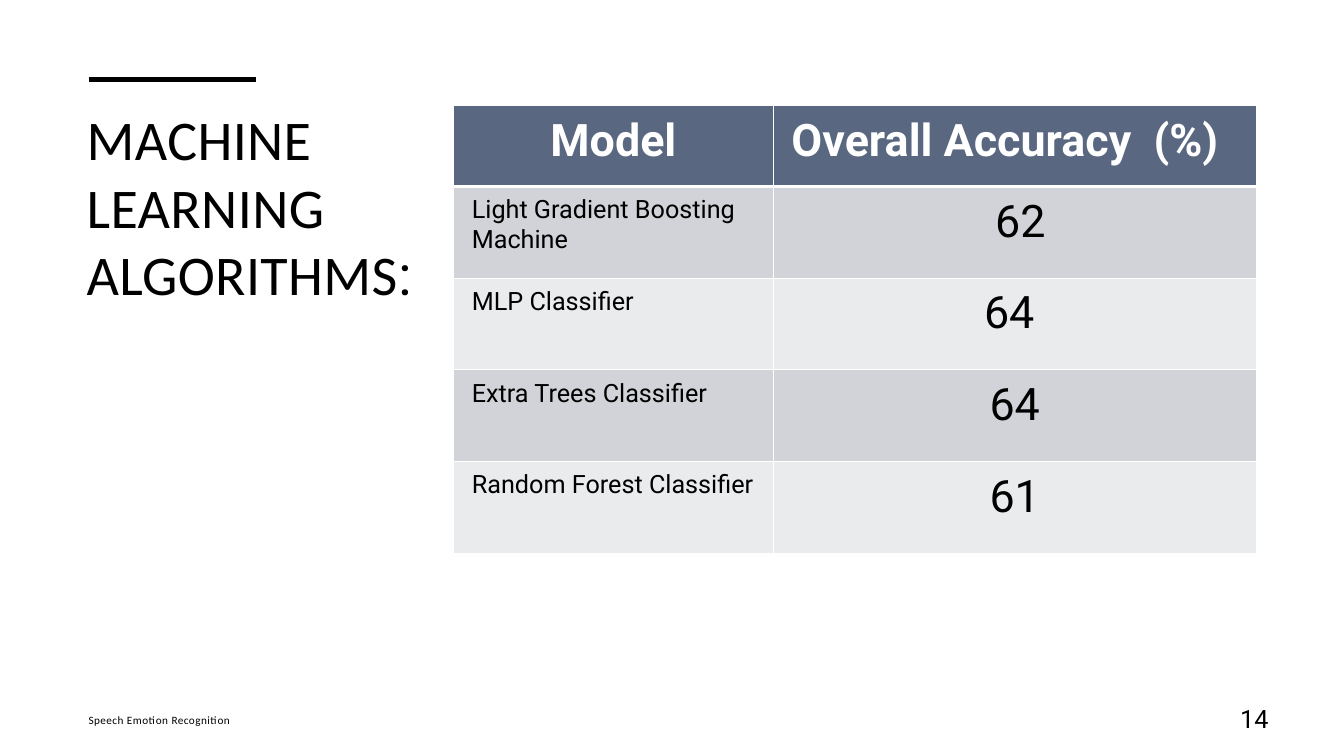
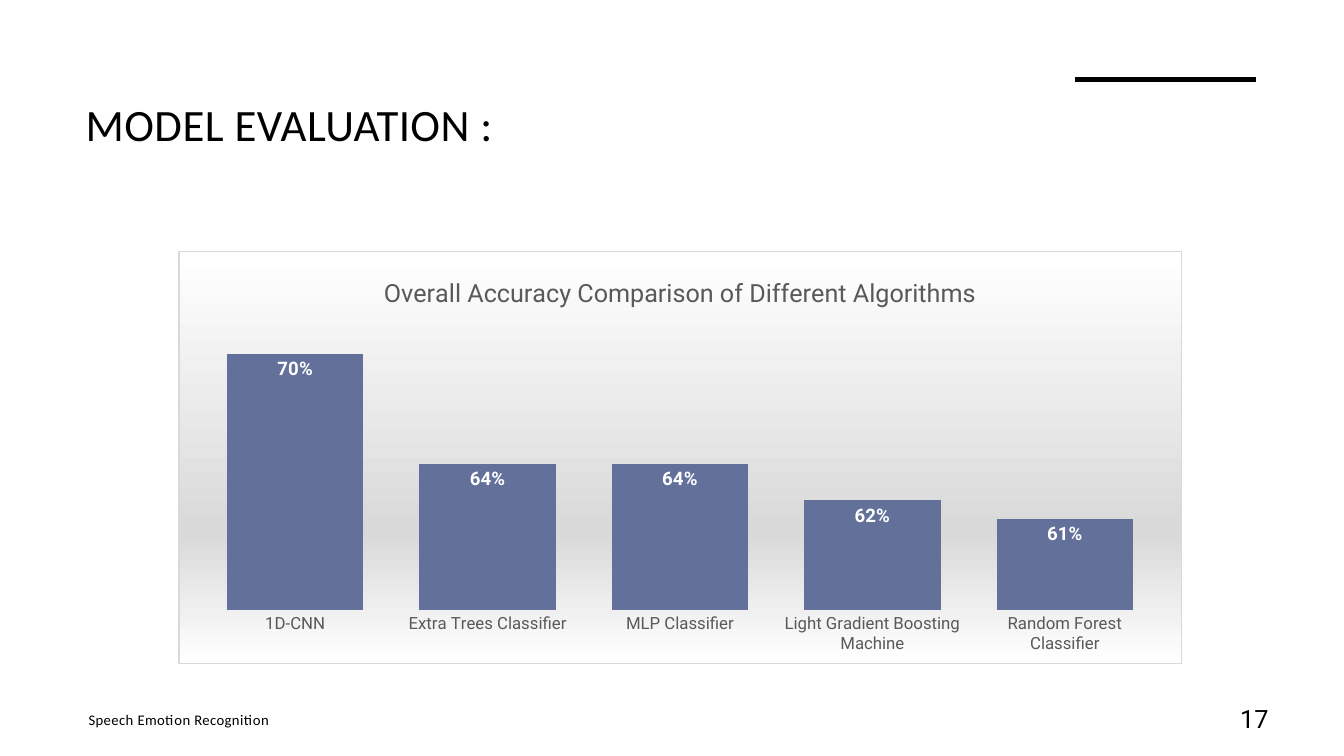
from lxml.etree import SubElement
from pptx import Presentation
from pptx.chart.data import CategoryChartData
from pptx.dml.color import RGBColor
from pptx.enum.chart import XL_CHART_TYPE, XL_LABEL_POSITION, XL_TICK_MARK
from pptx.enum.shapes import MSO_CONNECTOR
from pptx.enum.text import MSO_ANCHOR, MSO_AUTO_SIZE, PP_ALIGN
from pptx.oxml import parse_xml
from pptx.oxml.ns import nsdecls, qn
from pptx.util import Pt

PX = 9144  # EMU in one px, 100 px to the inch
COLORS = {
    "ink": "000000", "white": "FFFFFF", "header": "596781",
    "band_dark": "D1D3D8", "band_light": "EAEBED",
    "bar": "62709A", "chart_text": "595959", "chart_grey": "D9D9D9",
}
BODY, HEAD, CONDENSED = "Roboto", "Calibri", "Roboto Condensed"
FOOTER = "Speech Emotion Recognition"
RULE_Y = 79

MODELS = [
    ("Light Gradient Boosting Machine", " 62"),
    ("MLP Classifier", "64 "),
    ("Extra Trees Classifier", "64"),
    ("Random Forest Classifier", "61"),
]
ACCURACY = {
    "1D-CNN": 0.7,
    "Extra Trees Classifier": 0.64,
    "MLP Classifier": 0.64,
    "Light Gradient Boosting Machine": 0.62,
    "Random Forest Classifier": 0.61,
}


def px(*lengths):
    return [n * PX for n in lengths]


def rgb(name):
    return RGBColor.from_string(COLORS[name])


def style_font(font, size, color="ink", name=BODY, bold=False):
    font.size, font.name, font.bold = Pt(size), name, bold
    font.color.rgb = rgb(color)


def add_run(p, text, size, color="ink", name=BODY, bold=False, spacing=None):
    """Spacing between letters is in hundredths of a point."""
    r = p.add_run()
    r.text = text
    style_font(r.font, size, color, name, bold)
    if spacing:
        r.font._element.set("spc", str(spacing))


def add_title(s, box, parts, size):
    """Fill the title placeholder with (text, font name) parts."""
    sp = s.shapes.title
    sp.left, sp.top, sp.width, sp.height = px(*box)
    tf = sp.text_frame
    tf.word_wrap, tf.auto_size = True, MSO_AUTO_SIZE.NONE
    tf.vertical_anchor = MSO_ANCHOR.TOP
    p = tf.paragraphs[0]
    p.alignment = PP_ALIGN.LEFT
    for text, name in parts:
        add_run(p, text, size, name=name, spacing=30)


def add_rule(s, left, right):
    line = s.shapes.add_connector(MSO_CONNECTOR.STRAIGHT, *px(left, RULE_Y, right, RULE_Y))
    line.line.color.rgb = rgb("ink")
    line.line.width = Pt(3.5)
    SubElement(line._element.spPr, qn("a:effectLst"))


def add_footer_text(s, box, text, size, name, align, spacing=None):
    tf = s.shapes.add_textbox(*px(*box)).text_frame
    tf.word_wrap = True
    tf.vertical_anchor = MSO_ANCHOR.MIDDLE
    p = tf.paragraphs[0]
    p.alignment, p.line_spacing, p.space_after = align, 0.9, Pt(6)
    add_run(p, text, size, name=name, spacing=spacing)


def add_footer(s, number, size):
    add_footer_text(s, (78, 695, 496, 40), FOOTER, size, HEAD, PP_ALIGN.LEFT, 30)
    add_footer_text(s, (1194, 695, 74, 40), number, 18, BODY, PP_ALIGN.RIGHT)


def set_borders(cell, header):
    """White lines round a cell, the heavy one under the header."""
    tc_pr = cell._tc.get_or_add_tcPr()
    for i, side in enumerate("LRTB"):
        width = 3 if header and side == "B" else 1
        tc_pr.insert(i, parse_xml(
            f'<a:ln{side} {nsdecls("a")} w="{Pt(width)}"><a:solidFill>'
            f'<a:srgbClr val="{COLORS["white"]}"/></a:solidFill></a:ln{side}>'))


def fill_cell(cell, text, fill, size, align, header=False):
    cell.fill.solid()
    cell.fill.fore_color.rgb = rgb(fill)
    cell.margin_left, cell.margin_right = px(18, 18)
    cell.margin_top, cell.margin_bottom = px(9, 9)
    p = cell.text_frame.paragraphs[0]
    p.alignment = align
    add_run(p, text, size, "white" if header else "ink", bold=header)
    set_borders(cell, header)


def add_accuracy_table(s, box):
    left, top, width, height = box
    table = s.shapes.add_table(len(MODELS) + 1, 2, *px(*box)).table
    model_w, header_h = 317, 80
    table.columns[0].width, table.columns[1].width = px(model_w, width - model_w)
    table.rows[0].height = header_h * PX
    fill_cell(table.cell(0, 0), "Model", "header", 32, PP_ALIGN.CENTER, True)
    fill_cell(table.cell(0, 1), "Overall Accuracy  (%)", "header", 32, PP_ALIGN.LEFT, True)
    for i, (model, score) in enumerate(MODELS, 1):
        table.rows[i].height = (height - header_h) * PX // len(MODELS)
        fill = "band_dark" if i % 2 else "band_light"
        fill_cell(table.cell(i, 0), model, fill, 18, PP_ALIGN.LEFT)
        fill_cell(table.cell(i, 1), score, fill, 32, PP_ALIGN.CENTER)


def set_layout(parent, index, target="", **shares):
    """Place a chart part by shares of the chart's size."""
    for old in parent.findall(qn("c:layout")):
        parent.remove(old)
    inner = f'<c:layoutTarget val="{target}"/>' if target else ""
    modes = "".join(f'<c:{k}Mode val="edge"/>' for k in "xy")
    sizes = "".join(f'<c:{k} val="{v}"/>' for k, v in shares.items())
    parent.insert(index, parse_xml(
        f'<c:layout {nsdecls("c")}><c:manualLayout>{inner}{modes}{sizes}'
        '</c:manualLayout></c:layout>'))


def set_chart_background(chart):
    stops = "".join(
        f'<a:gs pos="{pos * 1000}"><a:srgbClr val="{COLORS[color]}"/></a:gs>'
        for pos, color in ((0, "white"), (68, "chart_grey"), (100, "white")))
    chart.element.find(qn("c:chart")).addnext(parse_xml(
        f'<c:spPr {nsdecls("c", "a")}><a:gradFill><a:gsLst>{stops}</a:gsLst>'
        f'<a:lin ang="5400000" scaled="0"/></a:gradFill><a:ln w="{Pt(0.75)}">'
        f'<a:solidFill><a:srgbClr val="{COLORS["chart_grey"]}"/></a:solidFill>'
        '</a:ln></c:spPr>'))


def add_accuracy_chart(s, box):
    data = CategoryChartData(number_format="0%")
    data.categories = list(ACCURACY)
    data.add_series("Series 1", list(ACCURACY.values()))
    chart = s.shapes.add_chart(XL_CHART_TYPE.COLUMN_CLUSTERED, *px(*box), data).chart
    style_font(chart.font, 10)
    chart.has_legend = False
    set_chart_background(chart)

    chart.has_title = True
    title = chart.chart_title
    add_run(title.text_frame.paragraphs[0],
            "Overall Accuracy Comparison of Different Algorithms", 18, "chart_text")
    title.include_in_layout = False
    set_layout(title._element, 1, x=0.2, y=0.05)

    cats, vals = chart.category_axis, chart.value_axis
    cats.major_tick_mark = cats.minor_tick_mark = XL_TICK_MARK.NONE
    cats.format.line.fill.background()
    style_font(cats.tick_labels.font, 12, "chart_text")
    vals.visible = vals.has_major_gridlines = False
    vals.minimum_scale, vals.maximum_scale = 0.56, 0.72

    plot = chart.plots[0]
    plot.gap_width = 41
    plot.vary_by_categories = False
    bars = plot.series[0].format.fill
    bars.solid()
    bars.fore_color.rgb = rgb("bar")
    plot.has_data_labels = True
    labels = plot.data_labels
    labels.show_value = True
    labels.number_format, labels.number_format_is_linked = "0%", False
    labels.position = XL_LABEL_POSITION.INSIDE_END
    style_font(labels.font, 13.3, "white", bold=True)
    area = chart.element.find(qn("c:chart")).find(qn("c:plotArea"))
    set_layout(area, 0, "inner", x=0.02, y=0.16, w=0.96, h=0.71)


def add_slide(prs):
    return prs.slides.add_slide(prs.slide_layouts[5])


def add_algorithms_slide(prs):
    s = add_slide(prs)
    add_title(s, (76, 99, 428, 435),
              [("MACHINE LEARNING ALGORITHMS", HEAD), (":", CONDENSED)], 40)
    add_rule(s, 88, 254)
    add_footer(s, "14", 8)
    add_accuracy_table(s, (450, 105, 796, 444))


def add_evaluation_slide(prs):
    s = add_slide(prs)
    add_rule(s, 1066, 1246)
    add_title(s, (75, 91, 538, 76), [("MODEL EVALUATION :", HEAD)], 32)
    add_footer(s, "17", 10.5)
    add_accuracy_chart(s, (177, 249, 995, 410))


def main():
    prs = Presentation()
    prs.slide_width, prs.slide_height = px(1333, 750)
    add_algorithms_slide(prs)
    add_evaluation_slide(prs)
    prs.save("out.pptx")


if __name__ == "__main__":
    main()
